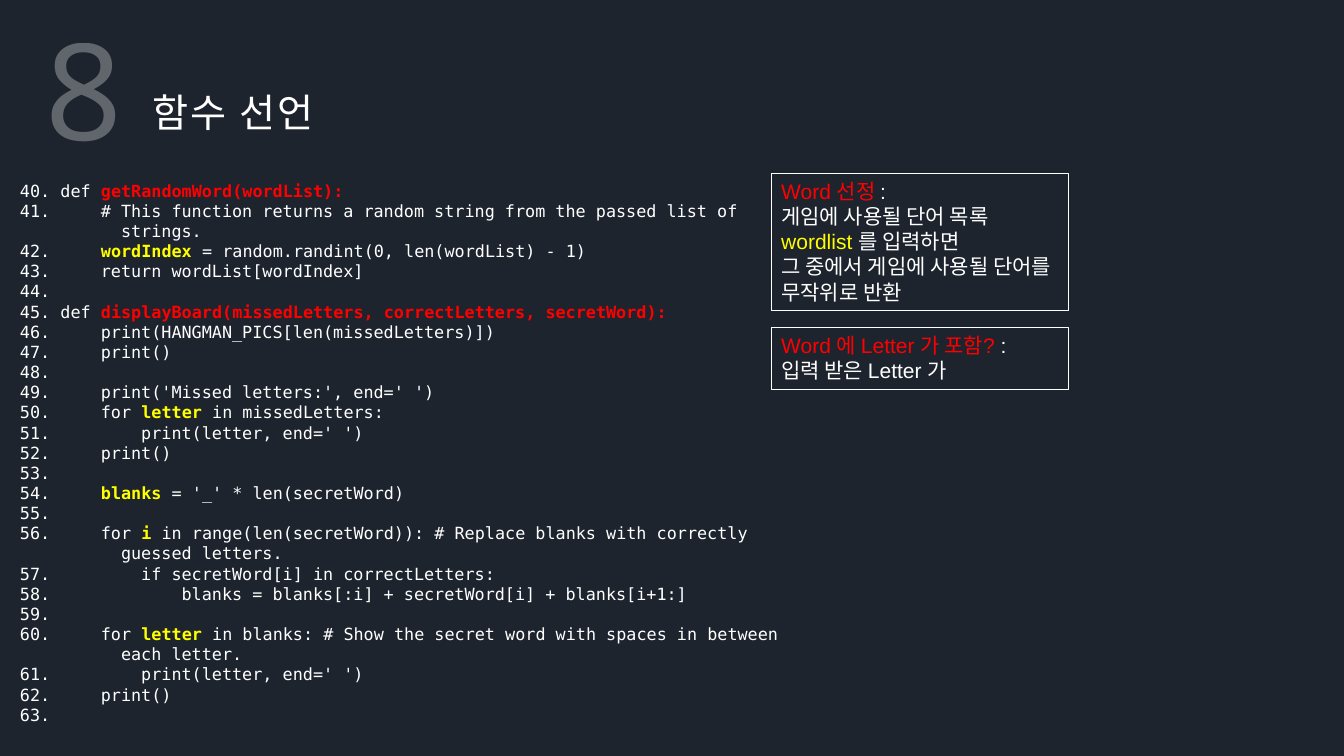
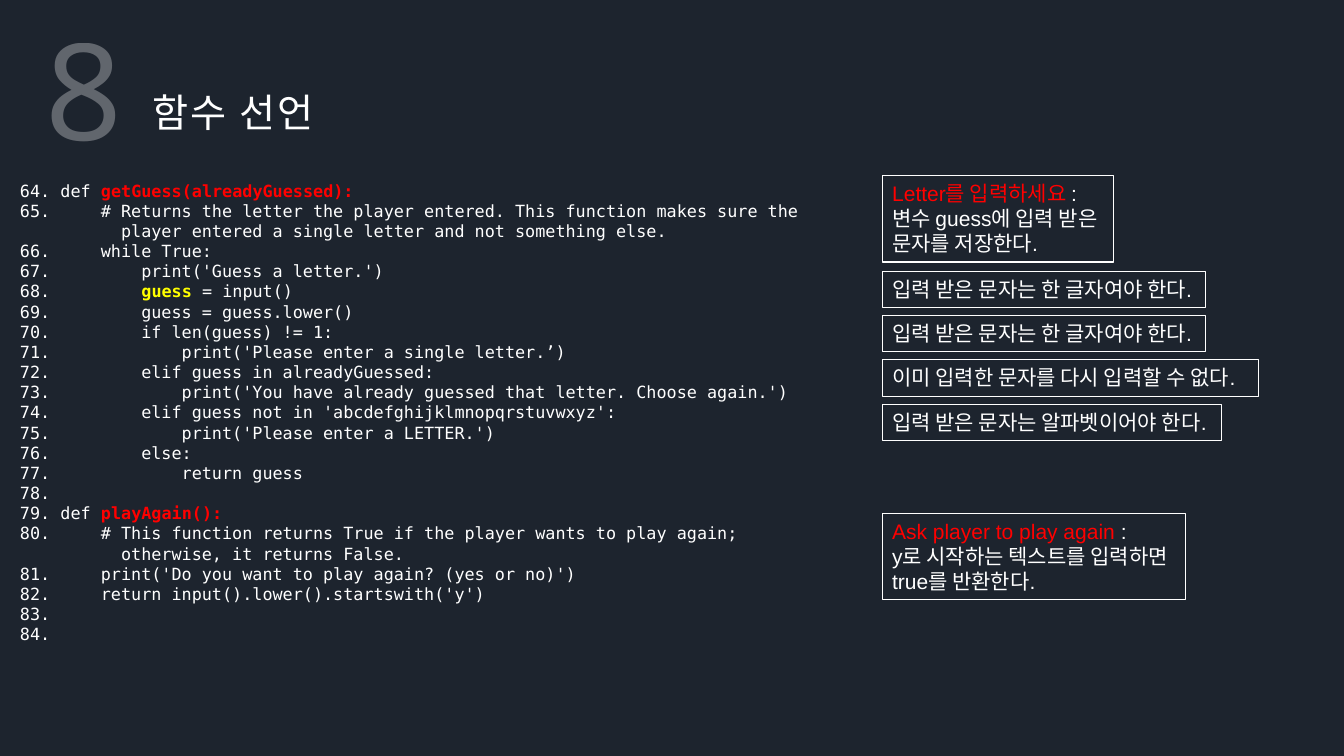
from pptx import Presentation
from pptx.dml.color import RGBColor
from pptx.enum.shapes import MSO_SHAPE
from pptx.enum.text import MSO_ANCHOR, MSO_AUTO_SIZE, PP_ALIGN
from pptx.oxml.ns import qn
from pptx.util import Inches, Pt
from lxml.etree import SubElement

NAVY = RGBColor(0x1D, 0x24, 0x2E)
WHITE = RGBColor(0xFF, 0xFF, 0xFF)
RED = RGBColor(0xFF, 0x00, 0x00)
YELLOW = RGBColor(0xFF, 0xFF, 0x00)
TITLE_FONT, CODE_FONT, NUMBER_FONT = "Arial", "DejaVu Sans Mono", "Noto Sans"
NBSP = "\u00a0"

# Words between bars are highlighted; a line starting with ~ continues the one above.
RANDOM_WORD = """\
def |getRandomWord(wordList):|
    # This function returns a random string from the passed list of
~strings.
    |wordIndex| = random.randint(0, len(wordList) - 1)
    return wordList[wordIndex]
"""

DISPLAY_BOARD = """\
def |displayBoard(missedLetters, correctLetters, secretWord):|
    print(HANGMAN_PICS[len(missedLetters)])
    print()

    print('Missed letters:', end=' ')
    for |letter| in missedLetters:
        print(letter, end=' ')
    print()

    |blanks| = '_' * len(secretWord)

    for |i| in range(len(secretWord)): # Replace blanks with correctly
~guessed letters.
        if secretWord[i] in correctLetters:
            blanks = blanks[:i] + secretWord[i] + blanks[i+1:]

    for |letter| in blanks: # Show the secret word with spaces in between
~each letter.
        print(letter, end=' ')
    print()
"""

GET_GUESS = """\
def |getGuess(alreadyGuessed):|
    # Returns the letter the player entered. This function makes sure the
~player entered a single letter and not something else.
    while True:
        print('Guess a letter.')
        |guess| = input()
        guess = guess.lower()
        if len(guess) != 1:
            print('Please enter a single letter.’)
        elif guess in alreadyGuessed:
            print('You have already guessed that letter. Choose again.')
        elif guess not in 'abcdefghijklmnopqrstuvwxyz':
            print('Please enter a LETTER.')
        else:
            return guess
"""

PLAY_AGAIN = """\
def |playAgain():|
    # This function returns True if the player wants to play again;
~otherwise, it returns False.
    print('Do you want to play again? (yes or no)')
    return input().lower().startswith('y')

"""

# Each note: top, width, lines shown, paragraphs
WORD_NOTES = [
    (1.72, 2.95, 5, ["|Word 선정 |:",
                     "게임에 사용될 단어 목록 |wordlist |를 입력하면 ",
                     "그 중에서 게임에 사용될 단어를 무작위로 반환"]),
    (3.25, 2.95, 2, ["|Word 에 Letter 가 포함? |:", "입력 받은 Letter 가 "]),
]
RULES = [
    (3.21, "입력 받은 문자는 한 글자여야 한다."),
    (3.21, "입력 받은 문자는 한 글자여야 한다."),
    (3.73, "이미 입력한 문자를 다시 입력할 수 없다."),
    (3.37, "입력 받은 문자는 알파벳이어야 한다."),
]
GUESS_NOTES = [
    (1.74, 2.29, 3, ["|Letter를 입력하세요 |: 변수 guess에 입력 받은 문자를 저장한다."]),
    *[(2.69 + 0.44 * i, width, 1, [rule]) for i, (width, rule) in enumerate(RULES)],
    (5.09, 3.01, 3, ["|Ask player to play again| :",
                     "y로 시작하는 텍스트를 입력하면 true를 반환한다."]),
]

# Each page: first line number, functions, code width, code height, notes left, notes
PAGES = [
    (40, [RANDOM_WORD, DISPLAY_BOARD], 7.93, 5.76, 7.65, WORD_NOTES),
    (64, [GET_GUESS, PLAY_AGAIN], 8.09, 4.95, 8.75, GUESS_NOTES),
]


def write(paragraph, text, font, size, accent=WHITE, bold=False):
    """Fill a paragraph, giving the words between bars the accent colour."""
    paragraph.font.name = font
    paragraph.font.size = Pt(size)
    paragraph.alignment = PP_ALIGN.LEFT
    for i, words in enumerate(text.split("|")):
        if words:
            run = paragraph.add_run()
            run.text = words
            run.font.color.rgb = accent if i % 2 else WHITE
            if i % 2 and bold:
                run.font.bold = True


def add_text(slide, left, top, width, height):
    """Add a wrapping text box and return its text frame."""
    frame = slide.shapes.add_textbox(
        Inches(left), Inches(top), Inches(width), Inches(height)).text_frame
    frame.word_wrap = True
    return frame


deck = Presentation()
deck.slide_width, deck.slide_height = Inches(13.33), Inches(7.5)

for number, functions, code_width, code_height, notes_left, notes in PAGES:
    slide = deck.slides.add_slide(deck.slide_layouts[6])
    slide.background.fill.solid()
    slide.background.fill.fore_color.rgb = NAVY

    chapter = add_text(slide, 0, 0, 2.1, 1.72)
    chapter.auto_size = MSO_AUTO_SIZE.SHAPE_TO_FIT_TEXT
    chapter.vertical_anchor = MSO_ANCHOR.MIDDLE
    chapter.margin_left = Inches(0.45)
    write(chapter.paragraphs[0], "8", NUMBER_FONT, 96)
    tint = chapter.paragraphs[0].runs[0]._r.find(".//" + qn("a:srgbClr"))
    SubElement(tint, qn("a:alpha")).set("val", "30000")

    listing = add_text(slide, 0, 1.74, code_width, code_height)
    for i, line in enumerate("\n".join(functions).split("\n")):
        if line.startswith("~"):
            text = NBSP * 11 + line[1:]
        else:
            body = line.lstrip()
            indent = NBSP * (len(line) - len(body))
            text = f"{NBSP}{number}.{NBSP if body else ''}{indent}{body}"
            number += 1
        paragraph = listing.add_paragraph() if i else listing.paragraphs[0]
        accent = RED if line.startswith("def") else YELLOW
        write(paragraph, text, CODE_FONT, 12, accent, bold=True)

    title = add_text(slide, 1.39, 0.76, 10.97, 0.72)
    title.margin_left = title.margin_right = title.margin_top = Inches(0.12)
    title.margin_bottom = Inches(0.1)
    write(title.paragraphs[0], "함수 선언", TITLE_FONT, 28)
    title.paragraphs[0].runs[0]._r.get_or_add_rPr().set("spc", "150")

    for top, width, line_count, paragraphs in notes:
        note = slide.shapes.add_shape(
            MSO_SHAPE.RECTANGLE, Inches(notes_left), Inches(top),
            Inches(width), Inches(0.11 + 0.25 * line_count))
        note.shadow.inherit = False
        note.fill.background()
        note.line.color.rgb = WHITE
        note.line.width = Pt(0.75)
        frame = note.text_frame
        frame.word_wrap = True
        frame.vertical_anchor = MSO_ANCHOR.TOP
        for i, text in enumerate(paragraphs):
            paragraph = frame.add_paragraph() if i else frame.paragraphs[0]
            write(paragraph, text, TITLE_FONT, 15, YELLOW if i else RED)

deck.save("out.pptx")
